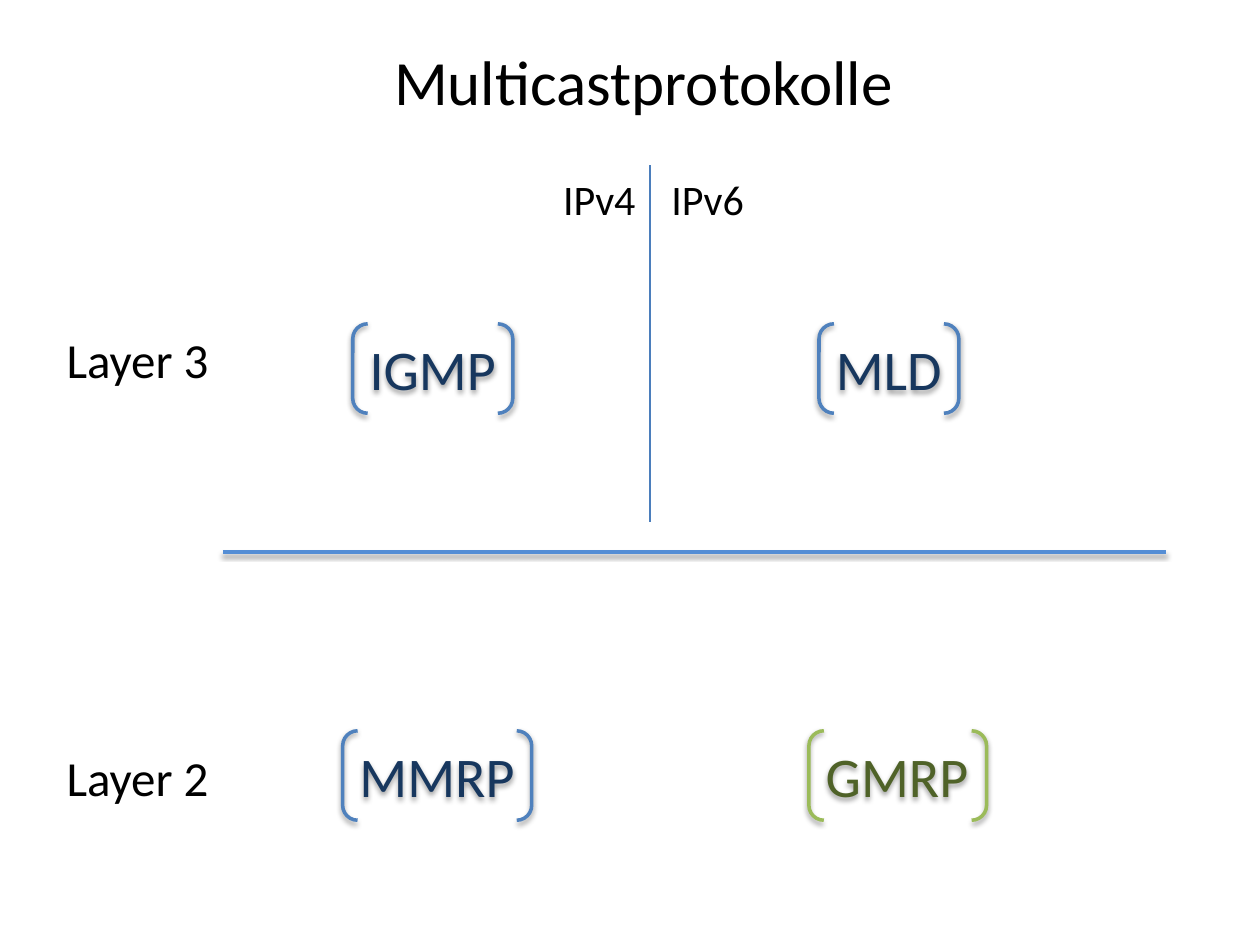
import pptx
import pptx.util
import pptx.dml.color
import pptx.enum.shapes
import pptx.enum.text
from lxml import etree
from pptx.util import Inches, Pt

BLACK, NAVY, BLUE = "000000", "17375E", "4F81BD"
OLIVE, GREEN = "4F6228", "9BBB59"

# text, left, top, width, height, size
LABELS = [
    ("Multicastprotokolle", 3.03, 0.29, 4.2, 0.71, 36),
    ("IPv4", 4.37, 1.33, 0.78, 0.5, 24),
    ("IPv6", 5.23, 1.33, 0.78, 0.5, 24),
    ("Layer 3", 0.43, 2.57, 1.34, 0.57, 28),
    ("Layer 2", 0.43, 5.88, 1.34, 0.57, 28),
]
LAYER_3_TOP, LAYER_2_TOP, PROTOCOL_HEIGHT = 2.57, 5.8, 0.71
# text, left, top, width, text colour, bracket colour
PROTOCOLS = [
    ("IGMP", 2.8, LAYER_3_TOP, 1.27, NAVY, BLUE),
    ("MLD", 6.5, LAYER_3_TOP, 1.11, NAVY, BLUE),
    ("MMRP", 2.72, LAYER_2_TOP, 1.5, NAVY, BLUE),
    ("GMRP", 6.42, LAYER_2_TOP, 1.41, OLIVE, GREEN),
]
# from x, from y, to x, to y, colour, width, shadow
DIVIDERS = [
    (1.77, 4.38, 9.25, 4.38, "558ED5", 2, True),
    (5.16, 1.31, 5.16, 4.14, "4B7EBC", 0.75, False),
]
DRAWING = "http://schemas.openxmlformats.org/drawingml/2006/main"
SHADOW = f"""<a:effectLst xmlns:a="{DRAWING}">
  <a:outerShdw blurRad="40000" dist="20000" dir="5400000" rotWithShape="0">
    <a:srgbClr val="000000"><a:alpha val="38000"/></a:srgbClr>
  </a:outerShdw>
</a:effectLst>"""
NO_SHADOW = f'<a:effectLst xmlns:a="{DRAWING}"/>'


def colour(value):
    return pptx.dml.color.RGBColor.from_string(value)


def set_line(shape, value, width, shadow):
    shape.line.color.rgb = colour(value)
    shape.line.width = Pt(width)
    shape._element.spPr.append(etree.fromstring(SHADOW if shadow else NO_SHADOW))


def write(shape, text, size, value, **frame_format):
    frame = shape.text_frame
    for name, setting in frame_format.items():
        setattr(frame, name, setting)
    paragraph = frame.paragraphs[0]
    paragraph.alignment = pptx.enum.text.PP_ALIGN.LEFT
    span = paragraph.add_run()
    span.text = text
    for name, setting in {"name": "Calibri", "size": Pt(size)}.items():
        setattr(span.font, name, setting)
    span.font.color.rgb = colour(value)


def main():
    deck = pptx.Presentation()
    deck.slide_width, deck.slide_height = Inches(10), Inches(7.5)
    page = deck.slides.add_slide(deck.slide_layouts[6])

    for *ends, value, width, shadow in DIVIDERS:
        divider = page.shapes.add_connector(
            pptx.enum.shapes.MSO_CONNECTOR.STRAIGHT, *map(Inches, ends))
        set_line(divider, value, width, shadow)

    for text, *place, size in LABELS:
        box = page.shapes.add_textbox(*map(Inches, place))
        write(box, text, size, BLACK, word_wrap=False)

    for text, left, top, width, text_colour, line_colour in PROTOCOLS:
        bracket = page.shapes.add_shape(
            pptx.enum.shapes.MSO_SHAPE.DOUBLE_BRACKET,
            *map(Inches, (left, top, width, PROTOCOL_HEIGHT)))
        bracket.fill.background()
        set_line(bracket, line_colour, 2, True)
        write(bracket, text, 32, text_colour, word_wrap=False,
              vertical_anchor=pptx.enum.text.MSO_ANCHOR.TOP)

    deck.save("out.pptx")


if __name__ == "__main__":
    main()
